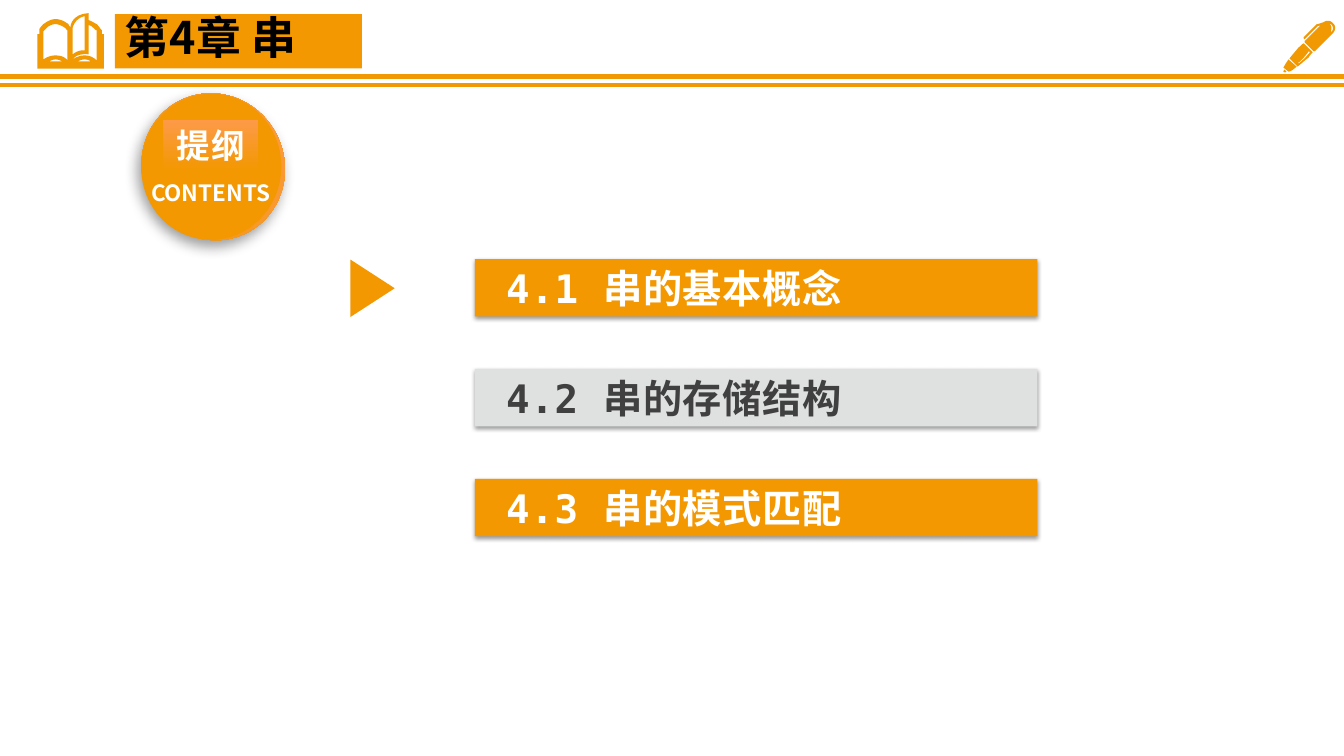
from lxml import etree
from pptx import Presentation
from pptx.dml.color import RGBColor as Rgb
from pptx.enum.shapes import MSO_CONNECTOR as Link, MSO_SHAPE as Kind
from pptx.enum.text import MSO_ANCHOR as Anchor, PP_ALIGN as Align
from pptx.oxml import parse_xml
from pptx.oxml.ns import qn
from pptx.util import Inches, Pt

INK = {"rule": "F19903", "orange": "F39801", "peach": "FC9A48", "gray": "DFE1E0",
       "dark": "404040", "black": "000000", "white": "FFFFFF"}
SANS, MONO = "Noto Sans CJK SC", "DejaVu Sans Mono"
NS = "http://schemas.openxmlformats.org/drawingml/2006/main"

# One outline a line, in hundredths of an inch: two numbers make a point, six a curve.
PEN = """
1274 69, 1276 71, 1275 72 1274 72 1273 71, 1273 71 1273 70 1274 69
1273 67, 1278 71, 1280 71 1283 69 1286 66, 1278 59, 1276 62 1274 65 1273 67
1293 43, 1302 52, 1301 53 1299 55 1298 57, 1294 60 1291 63 1287 66, 1279 58, 1282 54 1285 51 1288 47, 1290 46 1291 44 1293 43
1288 62, 1287 62 1288 63 1288 63, 1292 60 1296 56 1299 52, 1300 52 1299 51 1298 51, 1295 55 1292 59 1288 62
1322 33, 1305 50, 1305 50 1304 51 1303 51, 1294 42, 1294 41 1294 40 1295 40, 1310 25, 1307 26, 1295 38, 1294 39 1294 39 1293 38, 1293 38 1293 37 1293 37, 1306 24, 1306 24 1307 24 1307 24, 1313 22, 1315 20 1320 20 1322 23, 1325 25 1325 30 1322 33
1320 24, 1319 23 1319 24 1319 24, 1321 26 1321 29 1320 31, 1320 31 1321 32 1321 31, 1323 29 1322 25 1320 24
"""
BOOK = """
101 34, 101 30, 100 29, 100 29 99 27 96 24, 94 23 91 21 88 20, 88 13, 71 14 70 26 70 26, 70 27, 69 26 68 25 68 24, 65 22 61 19 55 19, 50 19 46 22 43 24, 40 27 39 29 39 29, 39 34, 37 34, 37 68, 103 68, 103 34
49 61, 50 60 53 59 55 59, 58 59 60 60 62 61
67 60, 65 57 61 55 55 55, 50 55 46 57 43 59, 43 31, 44 30 45 29 46 28, 48 26 51 24 55 24, 59 24 62 26 65 28, 66 29 66 30 67 30, 67 60
84 16, 84 50, 84 50 78 49 72 54, 72 28, 72 28 74 18 84 16
77 61, 79 60 81 59 84 59, 87 59 89 60 90 61
96 60, 93 57 89 55 84 55, 79 55 75 57 72 59, 77 52 88 54 88 54, 88 25, 90 25 92 27 93 28, 94 29 95 30 96 30, 96 60
"""


def trace(line, steps=8):
    """Turn one outline into points, with its curves flattened."""
    pts = []
    for part in line.split(","):
        nums = [int(n) / 100 for n in part.split()]
        ends = list(zip(nums[::2], nums[1::2]))
        if len(ends) == 1:
            pts += ends
            continue
        a, b, c, d = pts[-1], *ends
        for i in range(1, steps + 1):
            t = i / steps
            u = 1 - t
            pts.append(tuple(u**3 * a[k] + 3 * u * u * t * b[k] + 3 * u * t * t * c[k]
                             + t**3 * d[k] for k in (0, 1)))
    return [(Inches(x), Inches(y)) for x, y in pts]


class Deck:
    def __init__(self):
        self.prs = Presentation()
        self.prs.slide_width, self.prs.slide_height = Inches(13.33), Inches(7.5)
        self.slide = self.prs.slides.add_slide(self.prs.slide_layouts[6])
        self.shapes = self.slide.shapes

    def rule(self, y):
        line = self.shapes.add_connector(Link.STRAIGHT, 0, Inches(y), Inches(13.33), Inches(y))
        line.line.color.rgb = Rgb.from_string(INK["rule"])
        line.line.width = Pt(3)
        etree.SubElement(line._element.spPr, qn("a:effectLst"))

    def paint(self, shape, color):
        """Fill with one colour, or fade upwards between two."""
        shape.shadow.inherit = False
        shape.line.fill.background()
        if isinstance(color, str):
            shape.fill.solid()
            shape.fill.fore_color.rgb = Rgb.from_string(INK[color])
            return
        shape.fill.gradient()
        shape.fill.gradient_angle = 90
        for stop, name in zip(shape.fill.gradient_stops, color):
            stop.color.rgb = Rgb.from_string(INK[name])

    def icon(self, art):
        pen = None
        for line in art.strip().splitlines():
            first, *rest = trace(line)
            if pen is None:
                pen = self.shapes.build_freeform(*first, scale=1.0)
            else:
                pen.move_to(*first)
            pen.add_line_segments(rest, close=True)
        self.paint(pen.convert_to_shape(), "rule")

    def shape(self, kind, box, color, turn=0):
        item = self.shapes.add_shape(kind, *map(Inches, box))
        item.rotation = turn
        self.paint(item, color)
        return item

    def shade(self, item, alpha, blur, dist, angle):
        glow = item._element.spPr.find(qn("a:effectLst"))
        glow.append(parse_xml(
            f'<a:outerShdw xmlns:a="{NS}" blurRad="{Pt(blur)}" dist="{Pt(dist)}" '
            f'dir="{angle * 60000}" algn="ctr" rotWithShape="0"><a:srgbClr val="000000">'
            f'<a:alpha val="{alpha * 1000}"/></a:srgbClr></a:outerShdw>'))

    def label(self, box):
        return self.shapes.add_textbox(*map(Inches, box))

    def text(self, item, words, size, color, align=Align.CENTER, face=SANS, gap=0, left=0.1):
        frame = item.text_frame
        frame.word_wrap = True
        frame.vertical_anchor = Anchor.MIDDLE
        frame.margin_left = Inches(left)
        para = frame.paragraphs[0]
        para.text = words
        para.alignment = align
        run = para.runs[0]
        run.font.size, run.font.bold, run.font.name = Pt(size), True, face
        run.font.color.rgb = Rgb.from_string(INK[color])
        props = run.font._element
        etree.SubElement(props, qn("a:ea")).set("typeface", SANS)
        if gap:
            props.set("spc", str(int(gap * 100)))
        return para

    def title(self):
        bar = self.shape(Kind.RECTANGLE, (1.14, 0.14, 2.45, 0.54), "orange")
        para = self.text(bar, "第4章 串", 32, "black", Align.LEFT)
        para.line_spacing = 0.8
        para.runs[0].font._element.insert(0, parse_xml(
            f'<a:ln xmlns:a="{NS}" w="{Pt(0.75)}"><a:solidFill>'
            f'<a:srgbClr val="{INK["white"]}"/></a:solidFill></a:ln>'))

    def badge(self):
        fade = ("orange", "peach")
        disc = self.shape(Kind.OVAL, (1.38, 0.95, 1.47, 1.41), fade, 62.3)
        self.shade(disc, 39, 10, 5, 123)
        self.shape(Kind.OVAL, (1.37, 0.96, 1.45, 1.39), "orange", 273)
        self.text(self.label((1.28, 1.73, 1.62, 0.37)), "CONTENTS", 16, "white")
        head = self.shape(Kind.RECTANGLE, (1.62, 1.19, 0.94, 0.5), fade)
        self.text(head, "提纲", 24, "white", gap=1.5)

    def topic(self, top, words, fill, color):
        bar = self.shape(Kind.RECTANGLE, (4.71, top, 5.58, 0.57), fill)
        self.shade(bar, 38, 3.1, 1.6, 90)
        self.text(bar, words, 28, color, Align.LEFT, MONO, 0.5, 0.31)


def main():
    deck = Deck()
    for y in (0.76, 0.84):
        deck.rule(y)
    deck.icon(PEN)
    deck.icon(BOOK)
    deck.title()
    deck.badge()
    deck.shape(Kind.ISOSCELES_TRIANGLE, (3.41, 2.64, 0.57, 0.44), "orange", 90)
    topics = [("4.1 串的基本概念", "orange", "white"),
              ("4.2 串的存储结构", "gray", "dark"),
              ("4.3 串的模式匹配", "orange", "white")]
    for i, row in enumerate(topics):
        deck.topic(2.57 + 1.09 * i, *row)
    deck.prs.save("out.pptx")


if __name__ == "__main__":
    main()
